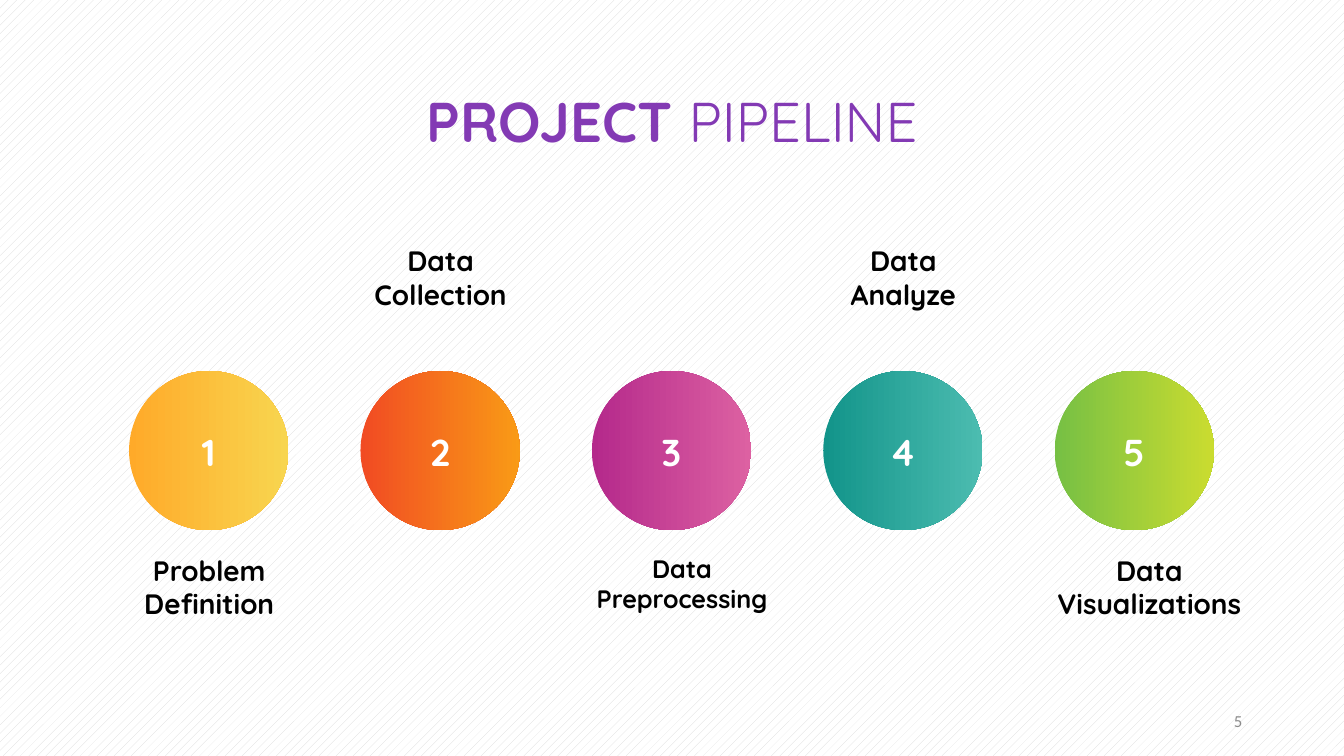
from pptx import Presentation
from pptx.dml.color import RGBColor
from pptx.enum.dml import MSO_PATTERN
from pptx.enum.shapes import MSO_SHAPE
from pptx.enum.text import MSO_ANCHOR, PP_ALIGN
from pptx.util import Inches, Pt

WHITE = RGBColor(0xFF, 0xFF, 0xFF)
BLACK = RGBColor(0x00, 0x00, 0x00)
PURPLE = RGBColor(0x83, 0x3A, 0xB4)
PAGE_GRAY = RGBColor(0x8C, 0x8C, 0x8C)
PATTERN_GRAY = RGBColor(0xD9, 0xD9, 0xD9)

# Content: label, text size, label width, label offset, gradient start and end
TITLE = [("PROJECT ", True), ("PIPELINE", False)]
STEPS = [
    ("Problem Definition", 20, 1.53, 0.03,
     RGBColor(0xFF, 0xAA, 0x29), RGBColor(0xF8, 0xD5, 0x4F)),
    ("Data Collection", 20, 1.53, 0.03,
     RGBColor(0xF1, 0x4B, 0x23), RGBColor(0xF9, 0x9A, 0x16)),
    ("Data Preprocessing", 18, 1.73, 0.03,
     RGBColor(0xB4, 0x29, 0x8B), RGBColor(0xDD, 0x61, 0xA2)),
    ("Data Analyze", 20, 1.53, 0.03,
     RGBColor(0x12, 0x94, 0x8A), RGBColor(0x4C, 0xBC, 0xB0)),
    ("Data Visualizations", 20, 1.88, 0,
     RGBColor(0x76, 0xC0, 0x44), RGBColor(0xCA, 0xDC, 0x30)),
]
PAGE_NUMBER = "5"

# Layout in inches
FIRST_LEFT, LAST_LEFT = 1.28, 10.46
CIRCLE_TOP, CIRCLE_SIZE = 3.68, 1.58
LABEL_ABOVE, LABEL_BELOW, LABEL_HEIGHT = 2.42, 5.49, 0.67


def write_text(shape, runs, size, color, font="Quicksand", align=PP_ALIGN.CENTER,
               anchor=MSO_ANCHOR.TOP, spacing=1.0, margins=(0, 0, 0, 0)):
    frame = shape.text_frame
    frame.word_wrap = True
    frame.vertical_anchor = anchor
    (frame.margin_left, frame.margin_top,
     frame.margin_right, frame.margin_bottom) = [Inches(m) for m in margins]
    paragraph = frame.paragraphs[0]
    paragraph.alignment = align
    paragraph.line_spacing = spacing
    for text, bold in runs:
        run = paragraph.add_run()
        run.text = text
        run.font.name = font
        run.font.size = Pt(size)
        run.font.bold = bold
        run.font.color.rgb = color


def add_text(slide, left, top, width, height, runs, **text_format):
    box = slide.shapes.add_textbox(Inches(left), Inches(top), Inches(width), Inches(height))
    write_text(box, runs, **text_format)


def add_circle(slide, left, number, start_color, end_color):
    circle = slide.shapes.add_shape(MSO_SHAPE.OVAL, Inches(left), Inches(CIRCLE_TOP),
                                    Inches(CIRCLE_SIZE), Inches(CIRCLE_SIZE))
    circle.shadow.inherit = False
    circle.line.fill.background()
    circle.fill.gradient()
    circle.fill.gradient_angle = 0
    for stop, color in zip(circle.fill.gradient_stops, (start_color, end_color)):
        stop.color.rgb = color
    # The deeper bottom margin lifts the number slightly
    write_text(circle, [(str(number), True)], size=26.7, color=WHITE,
               anchor=MSO_ANCHOR.MIDDLE, spacing=1.4, margins=(0.04, 0.04, 0.04, 0.19))


def main():
    presentation = Presentation()
    presentation.slide_width = Inches(13.33)
    presentation.slide_height = Inches(7.5)
    slide = presentation.slides.add_slide(presentation.slide_layouts[6])

    # Background
    background = slide.background.fill
    background.patterned()
    background.pattern = MSO_PATTERN.PERCENT_20
    background.fore_color.rgb = PATTERN_GRAY
    background.back_color.rgb = WHITE

    # Title
    add_text(slide, 1.07, 0.79, 11.19, 0.74, TITLE, size=40, color=PURPLE, spacing=1.1)

    # Steps, with labels alternating below and above
    pitch = (LAST_LEFT - FIRST_LEFT) / (len(STEPS) - 1)
    for index, (label, size, width, offset, start_color, end_color) in enumerate(STEPS):
        left = FIRST_LEFT + index * pitch
        add_circle(slide, left, index + 1, start_color, end_color)
        label_top = LABEL_ABOVE if index % 2 else LABEL_BELOW
        add_text(slide, left + offset, label_top, width, LABEL_HEIGHT,
                 [(label, True)], size=size, color=BLACK)

    # Page number
    add_text(slide, 9.42, 6.95, 3, 0.4, [(PAGE_NUMBER, False)], size=12, color=PAGE_GRAY,
             font="Calibri", align=PP_ALIGN.RIGHT, anchor=MSO_ANCHOR.MIDDLE,
             margins=(0.1, 0.05, 0.1, 0.05))

    presentation.save("out.pptx")


if __name__ == "__main__":
    main()
